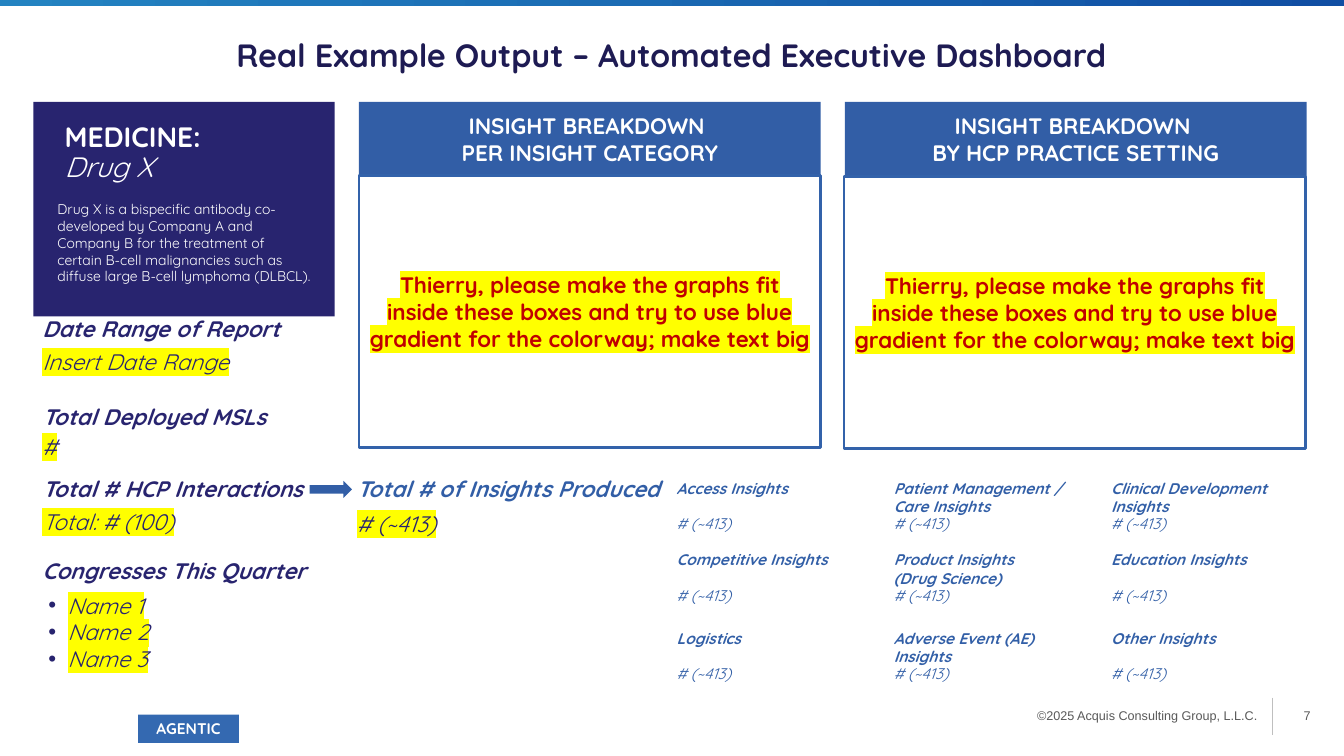
from copy import deepcopy
from lxml.etree import SubElement
from pptx import Presentation
from pptx.dml.color import RGBColor
from pptx.enum.shapes import MSO_CONNECTOR, MSO_SHAPE as SHAPE
from pptx.enum.text import MSO_ANCHOR as ANCHOR, MSO_AUTO_SIZE as AUTO, PP_ALIGN as ALIGN
from pptx.oxml.ns import qn
from pptx.util import Inches, Pt

COLORS = {
    "title": "1E1B53", "navy": "28246F", "blue": "325EA6", "insight": "325FA7",
    "frame": "3362AA", "tag": "3469B1", "red": "C00000", "yellow": "FFFF00",
    "white": "FFFFFF", "grey": "595959", "rule": "BFBFBF",
    "band_start": "2383C1", "band_end": "104EA3",
}

TITLE = "Real Example Output – Automated Executive Dashboard"
MEDICINE = ("MEDICINE:", "Drug X")
DESCRIPTION = (
    "Drug X is a bispecific antibody co-developed by Company A and Company B for the "
    "treatment of certain B-cell malignancies such as diffuse large B-cell lymphoma (DLBCL)."
)
GRAPH_NOTE = (
    "Thierry, please make the graphs fit inside these boxes and try to use blue gradient "
    "for the colorway; make text big "
)
PANELS = [
    ("INSIGHT BREAKDOWN \nPER INSIGHT CATEGORY", 3.56, 3.56, 1.74),
    ("INSIGHT BREAKDOWN \nBY HCP PRACTICE SETTING", 8.38, 8.37, 1.75),
]
METRICS = [
    ("Date Range of Report", "Insert Date Range", "navy", 0.42, 3.13, 3.45),
    ("Total Deployed MSLs", "#", "navy", 0.42, 4.0, 4.3),
    ("Total # HCP Interactions", "Total: # (100)", "navy", 0.42, 4.71, 5.04),
    ("Total # of Insights Produced", "# (~413)", "blue", 3.54, 4.71, 5.06),
]
CONGRESS_HEADING = "Congresses This Quarter"
CONGRESSES = ["Name 1", "Name 2", "Name 3"]
INSIGHT_COUNT = "# (~413)"
INSIGHT_ROWS = [
    (4.75, ["Access Insights", "Patient Management / Care Insights",
            "Clinical Development Insights"]),
    (5.46, ["Competitive Insights", "Product Insights \n(Drug Science)",
            "Education Insights"]),
    (6.24, ["Logistics", "Adverse Event (AE) Insights", "Other Insights"]),
]
INSIGHT_LEFT, INSIGHT_STEP, COUNT_DROP = 6.71, 2.155, 0.35
TAG = "AGENTIC"
COPYRIGHT = "©2025 Acquis Consulting Group, L.L.C."
PAGE = "7"


def rgb(name):
    return RGBColor.from_string(COLORS[name])


def style_paragraph(paragraph, color, size, highlight=None, font="Quicksand", **flags):
    formats = {"name": font, "size": Pt(size), "bold": False, "italic": False, **flags}
    for run in paragraph.runs:
        for key, value in formats.items():
            setattr(run.font, key, value)
        run.font.color.rgb = rgb(color)
        if highlight:
            properties = run._r.get_or_add_rPr()
            mark = SubElement(properties, qn("a:highlight"))
            SubElement(mark, qn("a:srgbClr"), val=COLORS[highlight])
            properties.find(qn("a:latin")).addprevious(mark)
    for line_break in paragraph._p.findall(qn("a:br")):
        line_break.insert(0, deepcopy(paragraph.runs[0]._r.rPr))


def write(shape, lines, color, size, align=ALIGN.LEFT, anchor=ANCHOR.TOP,
          margins=(0, 0), **style):
    frame = shape.text_frame
    side, edge = map(Inches, margins)
    settings = {
        "word_wrap": True, "auto_size": AUTO.NONE, "vertical_anchor": anchor,
        "margin_left": side, "margin_right": side, "margin_top": edge, "margin_bottom": edge,
    }
    for key, value in settings.items():
        setattr(frame, key, value)
    for index, line in enumerate(lines):
        paragraph = frame.add_paragraph() if index else frame.paragraphs[0]
        paragraph.text = line
        paragraph.alignment = align
        paragraph.space_before = Pt(0)
        style_paragraph(paragraph, color, size, **style)
    return frame


def place(shape, *box):
    for key, value in zip(("left", "top", "width", "height"), box):
        setattr(shape, key, Inches(value))


def add_text(slide, box, line, color, size, **style):
    return write(slide.shapes.add_textbox(*map(Inches, box)), [line], color, size, **style)


def add_block(slide, box, fill=None, line=None, kind=SHAPE.RECTANGLE):
    block = slide.shapes.add_shape(kind, *map(Inches, box))
    block.shadow.inherit = False
    if fill:
        block.fill.solid()
        block.fill.fore_color.rgb = rgb(fill)
    else:
        block.fill.background()
    if line:
        block.line.color.rgb = rgb(line)
        block.line.width = Pt(2)
    else:
        block.line.fill.background()
    return block


def add_frame(slide):
    band = add_block(slide, (0, 0, 13.33, 0.06))
    band.fill.gradient()
    band.fill.gradient_angle = 0
    for stop, color in zip(band.fill.gradient_stops, ("band_start", "band_end")):
        stop.color.rgb = rgb(color)
    for left, width, line in ((12.77, 0.23, PAGE), (9.69, 2.78, COPYRIGHT)):
        add_text(slide, (left, 6.79, width, 0.62), line, "grey", 9, font="Arial",
                 align=ALIGN.RIGHT, anchor=ANCHOR.MIDDLE)
    rule = slide.shapes.add_connector(
        MSO_CONNECTOR.STRAIGHT, *map(Inches, (12.62, 6.92, 12.62, 7.29)))
    rule.line.color.rgb = rgb("rule")
    rule.line.width = Pt(0.75)
    SubElement(rule._element.spPr, qn("a:effectLst"))
    write(add_block(slide, (1.37, 7.09, 1, 0.28), "tag"), [TAG], "white", 11,
          align=ALIGN.CENTER, anchor=ANCHOR.MIDDLE, bold=True)


def add_medicine(slide):
    add_block(slide, (0.33, 1.01, 2.99, 2.13), "navy")
    heading = slide.shapes.add_textbox(*map(Inches, (0.64, 1.2, 2.38, 0.64)))
    name, drug = write(heading, MEDICINE, "white", 20, anchor=ANCHOR.MIDDLE).paragraphs
    name.runs[0].font.bold = True
    drug.runs[0].font.italic = True
    for paragraph in (name, drug):
        paragraph.line_spacing = 0.9
    add_text(slide, (0.57, 1.99, 2.53, 0.62), DESCRIPTION, "white", 10)


def add_panels(slide):
    centred = {"align": ALIGN.CENTER, "anchor": ANCHOR.MIDDLE, "margins": (0.1, 0.05),
               "bold": True}
    for heading, heading_left, graph_left, graph_top in PANELS:
        write(add_block(slide, (heading_left, 1.01, 4.58, 0.74), "blue"),
              [heading], "white", 16, **centred)
        write(add_block(slide, (graph_left, graph_top, 4.58, 2.7), line="frame"),
              [GRAPH_NOTE], "red", 16, highlight="yellow", **centred)


def add_metrics(slide):
    for label, value, color, left, label_top, value_top in METRICS:
        add_text(slide, (left, label_top, 3.11, 0.31), label, color, 16,
                 bold=True, italic=True)
        add_text(slide, (left, value_top, 3.11, 0.31), value, "navy", 16,
                 italic=True, highlight="yellow")
    add_block(slide, (3.07, 4.77, 0.42, 0.17), "blue", kind=SHAPE.RIGHT_ARROW)


def add_congresses(slide, body):
    add_text(slide, (0.42, 5.53, 3.66, 0.31), CONGRESS_HEADING, "navy", 16,
             bold=True, italic=True)
    place(body, 0.42, 5.87, 3.24, 0.85)
    frame = write(body, CONGRESSES, "navy", 16, italic=True, highlight="yellow")
    for paragraph in frame.paragraphs:
        properties = paragraph._p.get_or_add_pPr()
        properties.set("marL", str(Inches(0.25)))
        properties.set("indent", str(Inches(-0.19)))
        bullet_color = SubElement(properties, qn("a:buClr"))
        SubElement(bullet_color, qn("a:srgbClr"), val=COLORS["navy"])
        SubElement(properties, qn("a:buFont"), typeface="Arial")
        SubElement(properties, qn("a:buChar"), char="•")


def add_insights(slide):
    for top, labels in INSIGHT_ROWS:
        for column, label in enumerate(labels):
            left = INSIGHT_LEFT + column * INSIGHT_STEP
            add_text(slide, (left, top, 1.88, 0.15), label, "insight", 11,
                     bold=True, italic=True)
            add_text(slide, (left, top + COUNT_DROP, 1.88, 0.15), INSIGHT_COUNT,
                     "insight", 11, italic=True)


def main():
    deck = Presentation()
    deck.slide_width, deck.slide_height = Inches(13.33), Inches(7.5)
    slide = deck.slides.add_slide(deck.slide_layouts[1])
    title, body = slide.placeholders
    place(title, 0, 0.3, 13.33, 0.49)
    write(title, [TITLE], "title", 23, align=ALIGN.CENTER, margins=(0.1, 0.05), bold=True)
    add_frame(slide)
    add_medicine(slide)
    add_panels(slide)
    add_metrics(slide)
    add_congresses(slide, body)
    add_insights(slide)
    deck.save("out.pptx")


if __name__ == "__main__":
    main()
